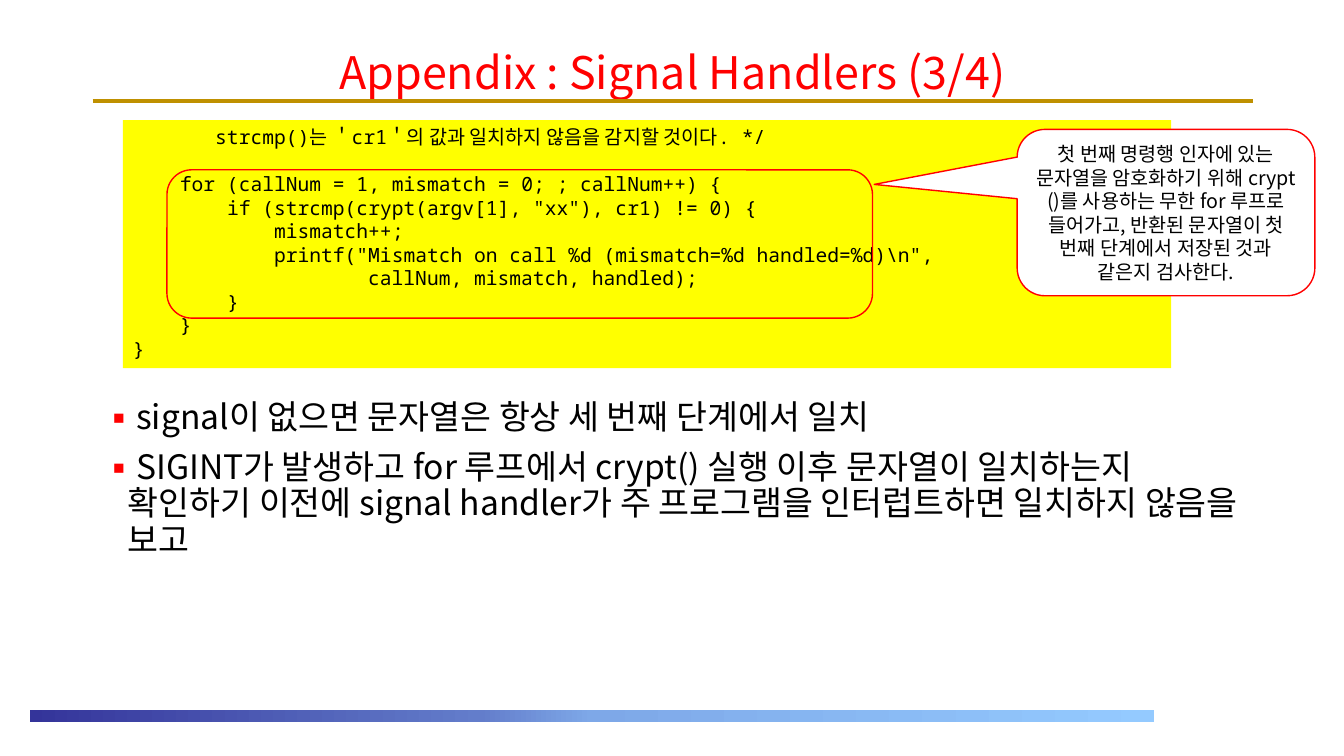
from copy import deepcopy

from lxml import etree
from pptx import Presentation
from pptx.dml.color import RGBColor
from pptx.enum.shapes import MSO_SHAPE
from pptx.enum.text import MSO_ANCHOR, PP_ALIGN
from pptx.oxml.ns import qn
from pptx.util import Inches, Pt

RECT, ROUNDED = MSO_SHAPE.RECTANGLE, MSO_SHAPE.ROUNDED_RECTANGLE
CALLOUT = MSO_SHAPE.ROUNDED_RECTANGULAR_CALLOUT
TOP, MIDDLE = MSO_ANCHOR.TOP, MSO_ANCHOR.MIDDLE
LEFT, CENTER = PP_ALIGN.LEFT, PP_ALIGN.CENTER
COLORS = {"red": "FF0000", "black": "000000", "white": "FFFFFF",
          "yellow": "FFFF00", "gold": "BF9000"}
BAR_STOPS = [(0, "34349A"), (0.4, "637DCB"), (0.5, "7EA8E8"), (1, "94CAFF")]
SANS, MONO = "Noto Sans CJK KR", "Noto Sans Mono"
CODE_SIZE, CHAR_WIDTH, CODE_LINE = 14, 0.6, 1.2

TITLE = "Appendix : Signal Handlers (3/4)"
CODE = [
    (7, "strcmp()는 ＇cr1＇의 값과 일치하지 않음을 감지할 것이다. */"),
    (4, "for (callNum = 1, mismatch = 0; ; callNum++) {"),
    (8, 'if (strcmp(crypt(argv[1], "xx"), cr1) != 0) {'),
    (12, "mismatch++;"),
    (12, 'printf("Mismatch on call %d (mismatch=%d handled=%d)\\n",'),
    (20, "callNum, mismatch, handled);"),
    (8, "}"),
    (4, "}"),
    (0, "}"),
]
LOOP_START = 1
NOTE = ("첫 번째 명령행 인자에 있는 문자열을 암호화하기 위해 crypt ()를 사용하는 "
        "무한 for 루프로 들어가고, 반환된 문자열이 첫 번째 단계에서 저장된 것과 "
        "같은지 검사한다.")
POINTS = [
    "signal이 없으면 문자열은 항상 세 번째 단계에서 일치",
    "SIGINT가 발생하고 for 루프에서 crypt() 실행 이후 문자열이 일치하는지 "
    "확인하기 이전에 signal handler가 주 프로그램을 인터럽트하면 일치하지 않음을 보고",
]


def rgb(name):
    """Return the named colour."""
    return RGBColor.from_string(COLORS[name])


def part(box, left, top, width, height):
    """Return the box that takes the given shares of another box."""
    x, y, w, h = box
    return (round(x + left * w), round(y + top * h),
            round(width * w), round(height * h))


def write(tf, lines, size, color="black", font=SANS, align=LEFT, anchor=TOP):
    """Fill a text frame with one formatted paragraph per line."""
    tf.text = "\n".join(lines)
    tf.word_wrap = True
    tf.vertical_anchor = anchor
    for p in tf.paragraphs:
        p.alignment = align
        for r in p.runs:
            r.font.size, r.font.name = Pt(size), font
            r.font.color.rgb = rgb(color)
            etree.SubElement(r.font._element, qn("a:ea"), typeface=SANS)


def add_box(s, kind, box, fill=None, line=None):
    """Add a flat preset shape with an optional fill and outline."""
    sp = s.shapes.add_shape(kind, *box)
    sp.shadow.inherit = False
    if fill:
        sp.fill.solid()
        sp.fill.fore_color.rgb = rgb(fill)
    else:
        sp.fill.background()
    if line:
        sp.line.color.rgb = rgb(line)
        sp.line.width = Pt(1)
    else:
        sp.line.fill.background()
    return sp


def add_title(s, box):
    """Add the title as a one-cell table ruled below."""
    frame = s.shapes.add_table(1, 1, *box)
    table = frame.table
    table.first_row = table.horz_banding = False
    cell = table.cell(0, 0)
    write(cell.text_frame, [TITLE], 32, "red", align=CENTER)
    tc_pr = cell._tc.get_or_add_tcPr()
    for side in ("L", "R", "T"):
        edge = etree.SubElement(tc_pr, qn(f"a:ln{side}"), w="0")
        etree.SubElement(edge, qn("a:noFill"))
    rule = etree.SubElement(tc_pr, qn("a:lnB"), w=str(Pt(3)))
    paint = etree.SubElement(rule, qn("a:solidFill"))
    etree.SubElement(paint, qn("a:srgbClr"), val=COLORS["gold"])
    cell.fill.background()


def add_code(s, box):
    """Add the code panel with its framed loop and the callout."""
    panel = add_box(s, RECT, box, "yellow")
    write(panel.text_frame, [text for _, text in CODE], CODE_SIZE, font=MONO)
    paragraphs = panel.text_frame.paragraphs
    for p, (columns, _) in zip(paragraphs, CODE):
        indent = Pt(columns * CHAR_WIDTH * CODE_SIZE)
        p._p.get_or_add_pPr().set("marL", str(indent))
    paragraphs[LOOP_START].space_before = Pt(CODE_LINE * CODE_SIZE)

    add_box(s, ROUNDED, part(box, 0.042, 0.2, 0.673, 0.598), line="red")
    note = add_box(s, CALLOUT, part(box, 0.853, 0.037, 0.284, 0.671),
                   "white", "red")
    for i, value in enumerate((-0.98, -0.169, 0.167)):
        note.adjustments[i] = value
    write(note.text_frame, [NOTE], 14, align=CENTER, anchor=MIDDLE)


def add_points(s, box):
    """Add the bulleted remarks."""
    tf = s.shapes.add_textbox(*box).text_frame
    write(tf, POINTS, 24)
    for p in tf.paragraphs:
        p.line_spacing, p.space_before = 0.9, Pt(10)
        p_pr = p._p.get_or_add_pPr()
        p_pr.set("marL", str(Inches(0.25)))
        p_pr.set("indent", str(Inches(-0.25)))
        tint = etree.SubElement(p_pr, qn("a:buClr"))
        etree.SubElement(tint, qn("a:srgbClr"), val=COLORS["red"])
        etree.SubElement(p_pr, qn("a:buFont"), typeface=SANS)
        etree.SubElement(p_pr, qn("a:buChar"), char="▪")


def add_footer_bar(s, box):
    """Add the footer bar fading from dark to light blue."""
    bar = add_box(s, RECT, box)
    bar.fill.gradient()
    bar.fill.gradient_angle = 0
    stops = bar._element.spPr.find(qn("a:gradFill")).find(qn("a:gsLst"))
    while len(stops) < len(BAR_STOPS):
        stops.append(deepcopy(stops[-1]))
    for stop, (position, color) in zip(bar.fill.gradient_stops, BAR_STOPS):
        stop.position = position
        stop.color.rgb = RGBColor.from_string(color)


def main():
    """Build and save the slide."""
    prs = Presentation()
    prs.slide_width, prs.slide_height = Inches(13.33), Inches(7.5)
    s = prs.slides.add_slide(prs.slide_layouts[6])
    page = (0, 0, prs.slide_width, prs.slide_height)
    add_points(s, part(page, 0.069, 0.523, 0.863, 0.38))
    add_title(s, part(page, 0.069, 0.043, 0.863, 0.091))
    add_footer_bar(s, part(page, 0.0225, 0.939, 0.836, 0.016))
    add_code(s, part(page, 0.0915, 0.159, 0.78, 0.328))
    prs.save("out.pptx")


if __name__ == "__main__":
    main()
